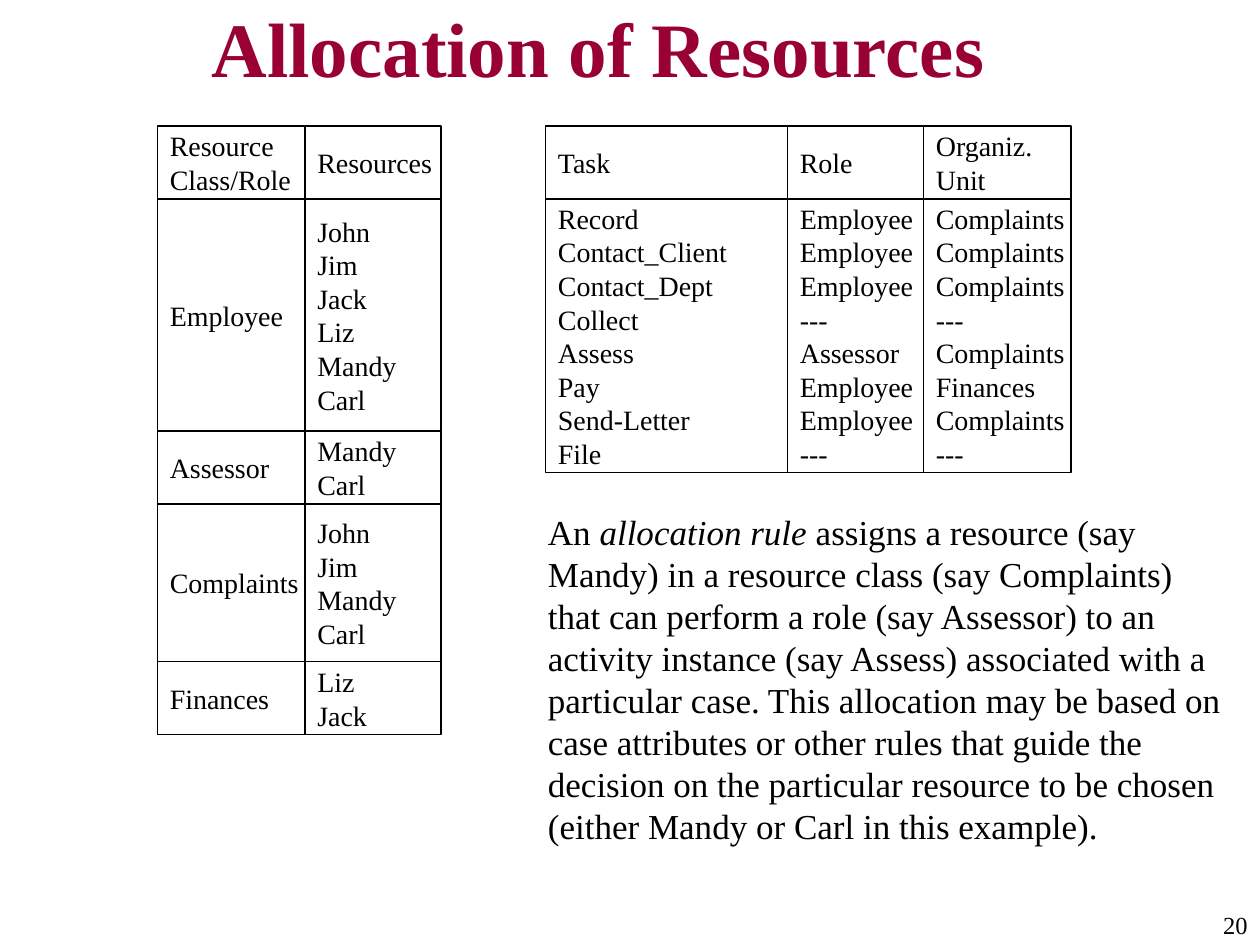
from pptx import Presentation
from pptx.dml.color import RGBColor
from pptx.enum.shapes import MSO_SHAPE
from pptx.enum.text import MSO_ANCHOR, MSO_AUTO_SIZE, PP_ALIGN
from pptx.util import Inches, Pt

RECTANGLE = MSO_SHAPE.RECTANGLE
MIDDLE = MSO_ANCHOR.MIDDLE
NO_FIT = MSO_AUTO_SIZE.NONE
LEFT, RIGHT = PP_ALIGN.LEFT, PP_ALIGN.RIGHT
FONT = "Times New Roman"
BLACK, CRIMSON = "000000", "990033"

RESOURCE_ROWS = [
    ["Resource\nClass/Role", "Resources"],
    ["Employee", "John\nJim\nJack\nLiz\nMandy\nCarl"],
    ["Assessor", "Mandy\nCarl"],
    ["Complaints", "John\nJim\nMandy\nCarl"],
    ["Finances", "Liz\nJack"],
]
TASKS = [
    ("Record", "Employee", "Complaints"),
    ("Contact_Client", "Employee", "Complaints"),
    ("Contact_Dept", "Employee", "Complaints"),
    ("Collect", "---", "---"),
    ("Assess", "Assessor", "Complaints"),
    ("Pay", "Employee", "Finances"),
    ("Send-Letter", "Employee", "Complaints"),
    ("File", "---", "---"),
]
TASK_ROWS = [
    ["Task", "Role", "Organiz.\nUnit"],
    ["\n".join(column) for column in zip(*TASKS)],
]
RULE_RUNS = [
    ("An ", False),
    ("allocation rule", True),
    (" assigns a resource (say Mandy) in a resource class (say Complaints) "
     "that can perform a role (say Assessor) to an activity instance (say Assess) "
     "associated with a particular case. This allocation may be based on case "
     "attributes or other rules that guide the decision on the particular resource "
     "to be chosen (either Mandy or Carl in this example).", False),
]


def rgb(color):
    """Turn a hex string into a colour."""
    return RGBColor.from_string(color)


def add_run(p, text, size, color=BLACK, bold=False, italic=False):
    """Add one formatted run to a paragraph."""
    r = p.add_run()
    r.text = text
    r.font.name, r.font.size = FONT, Pt(size)
    r.font.bold, r.font.italic = bold, italic
    r.font.color.rgb = rgb(color)


def add_cell(s, left, top, width, height, text):
    """Place one outlined rectangle with its lines of text."""
    sp = s.shapes.add_shape(RECTANGLE, Inches(left), Inches(top),
                            Inches(width), Inches(height))
    sp.shadow.inherit = False
    sp.fill.background()
    sp.line.color.rgb = rgb(BLACK)
    sp.line.width = Pt(0.75)
    tf = sp.text_frame
    tf.word_wrap, tf.vertical_anchor = False, MIDDLE
    p = tf.paragraphs[0]
    p.alignment = LEFT
    p.font.size = Pt(16)
    for i, line in enumerate(text.split("\n")):
        if i:
            p.add_line_break()
        add_run(p, line, 16)


def add_grid(s, left, top, widths, heights, rows):
    """Place rows of adjoining cells from the given corner."""
    for i, (height, texts) in enumerate(zip(heights, rows)):
        y = top + sum(heights[:i])
        for j, (width, text) in enumerate(zip(widths, texts)):
            add_cell(s, left + sum(widths[:j]), y, width, height, text)


def place_title(s, left, top, width, height):
    """Move and fill the title placeholder."""
    title = s.shapes.title
    title.left, title.top = Inches(left), Inches(top)
    title.width, title.height = Inches(width), Inches(height)
    tf = title.text_frame
    tf.auto_size, tf.vertical_anchor = NO_FIT, MIDDLE
    p = tf.paragraphs[0]
    p.alignment = LEFT
    add_run(p, "Allocation of Resources", 44, CRIMSON, bold=True)


def add_text_box(s, left, top, width, height, runs, size, align=LEFT, before=0):
    """Place a wrapped one-paragraph text box."""
    box = s.shapes.add_textbox(Inches(left), Inches(top), Inches(width), Inches(height))
    tf = box.text_frame
    tf.word_wrap = True
    p = tf.paragraphs[0]
    p.alignment, p.space_before = align, Pt(before)
    for text, italic in runs:
        add_run(p, text, size, italic=italic)


def main():
    """Build the slide and save it."""
    prs = Presentation()
    prs.slide_width, prs.slide_height = Inches(10), Inches(7.5)
    s = prs.slides.add_slide(prs.slide_layouts[5])
    place_title(s, 1.58, 0.08, 8.42, 0.58)
    add_grid(s, 1.25, 1, [1.17, 1.08], [0.58, 1.84, 0.58, 1.25, 0.58], RESOURCE_ROWS)
    add_grid(s, 4.33, 1, [1.92, 1.08, 1.17], [0.58, 2.17], TASK_ROWS)
    add_text_box(s, 4.25, 4, 5.58, 2.77, RULE_RUNS, 20, before=12.5)
    add_text_box(s, 8.58, 7.17, 1.42, 0.33, [("20", False)], 14, RIGHT)
    prs.save("out.pptx")


if __name__ == "__main__":
    main()
